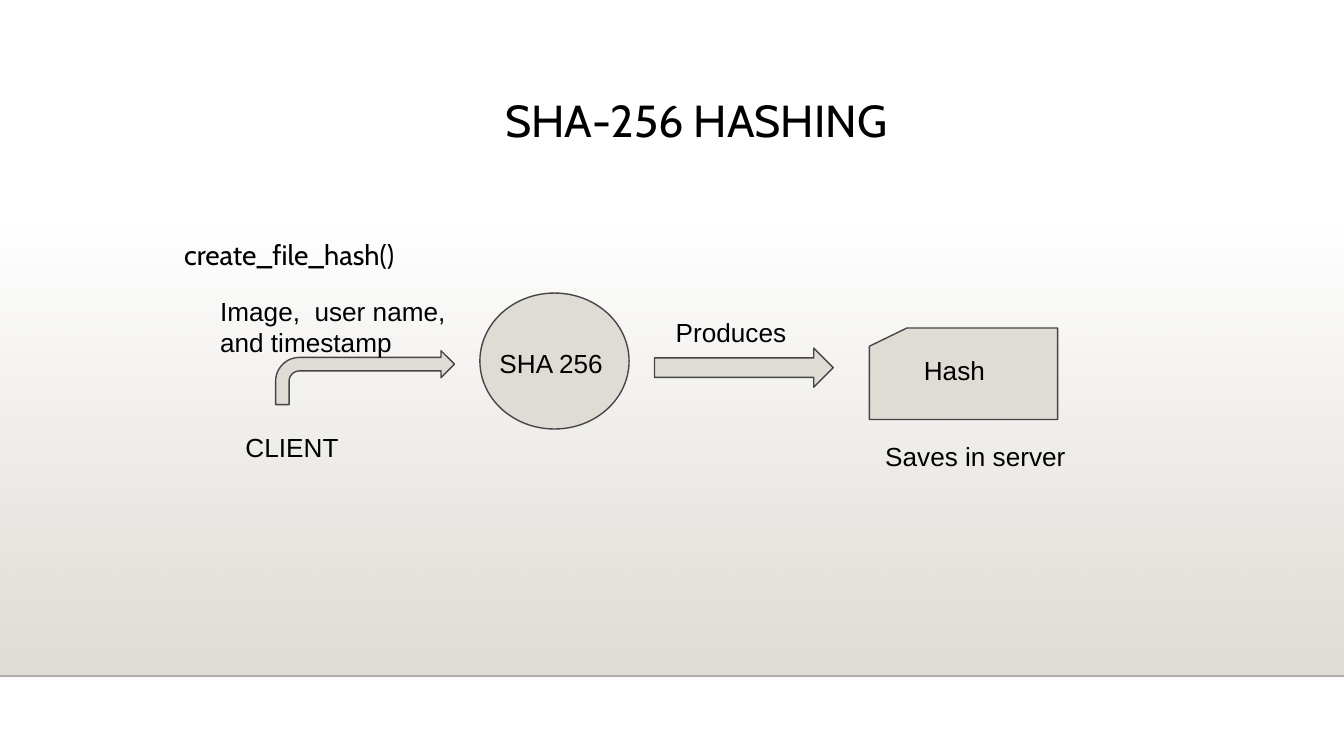
"""Build the SHA-256 hashing flow slide."""
from lxml.etree import SubElement
from pptx import Presentation
from pptx.dml.color import RGBColor
from pptx.enum.shapes import MSO_CONNECTOR, MSO_SHAPE
from pptx.enum.text import MSO_ANCHOR
from pptx.oxml.ns import qn
from pptx.util import Cm, Pt

COLORS = {"fill": "DFDBD5", "outline": "454545", "rule": "000001", "text": "000000"}
WIDTH, HEIGHT = 25.4, 14.29
PANEL_TOP, PANEL_BOTTOM = 4.22, 12.78

STYLES = {
    "title": {"inset": 0.18, "left": 5.08, "first": 1.27, "spacing": 0.9,
              "font": {"name": "Cabin", "size": Pt(24)}},
    "body": {"inset": 0.18, "left": 0.48, "first": -0.2, "spacing": 1.2,
             "font": {"name": "Cabin", "size": Pt(15)}},
    "label": {"inset": 0.25, "left": 0, "first": 0, "spacing": 1.0,
              "font": {"name": "Arial", "size": Pt(14)}},
}
STYLES["indented"] = {**STYLES["label"], "left": 0.55}

SHAPES = [
    (MSO_SHAPE.BENT_ARROW, (5.21, 6.63, 3.38, 1.02), (0.25, 0.25, 0.25, 0.44)),
    (MSO_SHAPE.OVAL, (9.07, 5.54, 2.82, 2.57), ()),
    (MSO_SHAPE.RIGHT_ARROW, (12.37, 6.58, 3.38, 0.74), (0.5, 0.5)),
    (MSO_SHAPE.FLOWCHART_CARD, (16.43, 6.2, 3.56, 1.73), ()),
]
TEXTS = [
    ("SHA-256 HASHING", (3.02, 1.68, 20.02, 2.18), "title"),
    ("create_file_hash()", (3.02, 4.19, 20.02, 7.19), "body"),
    ("CLIENT", (4.39, 7.9, 2.34, 1.02), "label"),
    ("Image,  user name, and timestamp", (3.91, 5.33, 5, 1.35), "label"),
    ("SHA 256", (9.19, 6.32, 2.57, 1.02), "label"),
    ("Produces", (12.52, 5.74, 3.07, 0.51), "label"),
    ("Hash", (16.66, 6.45, 3.07, 1.02), "indented"),
    ("Saves in server", (16.48, 8.08, 4.39, 1.02), "label"),
]


def rgb(name):
    return RGBColor.from_string(COLORS[name])


def set_alpha(color, percent):
    SubElement(color, qn("a:alpha")).set("val", str(percent * 1000))


def add_shape(s, kind, box, adjustments=()):
    sp = s.shapes.add_shape(kind, *map(Cm, box))
    sp.shadow.inherit = False
    for i, value in enumerate(adjustments):
        sp.adjustments[i] = value
    return sp


def add_panel(s):
    sp = add_shape(s, MSO_SHAPE.RECTANGLE, (0, PANEL_TOP, WIDTH, PANEL_BOTTOM - PANEL_TOP))
    sp.line.fill.background()
    sp.fill.gradient()
    sp.fill.gradient_angle = 270
    for stop, position in zip(sp.fill.gradient_stops, (0, 1)):
        stop.position = position
        stop.color.rgb = rgb("fill")
    set_alpha(next(sp._element.spPr.iter(qn("a:srgbClr"))), 0)

    rule = s.shapes.add_connector(MSO_CONNECTOR.STRAIGHT, 0, Cm(PANEL_BOTTOM),
                                  Cm(WIDTH), Cm(PANEL_BOTTOM))
    rule.line.width = Pt(1)
    rule.line.color.rgb = rgb("rule")
    spPr = rule._element.spPr
    set_alpha(next(spPr.iter(qn("a:srgbClr"))), 20)
    SubElement(spPr, qn("a:effectLst"))


def add_flow_shape(s, kind, box, adjustments):
    sp = add_shape(s, kind, box, adjustments)
    sp.fill.solid()
    sp.fill.fore_color.rgb = rgb("fill")
    sp.line.color.rgb = rgb("outline")
    sp.line.width = Pt(0.75)


def add_text(s, text, box, style):
    fmt = STYLES[style]
    tf = s.shapes.add_textbox(*map(Cm, box)).text_frame
    tf.word_wrap = True
    tf.vertical_anchor = MSO_ANCHOR.TOP
    for side in ("left", "top", "right", "bottom"):
        setattr(tf, f"margin_{side}", Cm(fmt["inset"]))
    p = tf.paragraphs[0]
    p.line_spacing = fmt["spacing"]
    pPr = p._p.get_or_add_pPr()
    pPr.set("marL", str(Cm(fmt["left"])))
    pPr.set("indent", str(Cm(fmt["first"])))
    r = p.add_run()
    r.text = text
    for name, value in fmt["font"].items():
        setattr(r.font, name, value)
    r.font.color.rgb = rgb("text")


def main():
    prs = Presentation()
    prs.slide_width, prs.slide_height = Cm(WIDTH), Cm(HEIGHT)
    s = prs.slides.add_slide(prs.slide_layouts[6])
    add_panel(s)
    for item in SHAPES:
        add_flow_shape(s, *item)
    for item in TEXTS:
        add_text(s, *item)
    prs.save("out.pptx")


if __name__ == "__main__":
    main()
